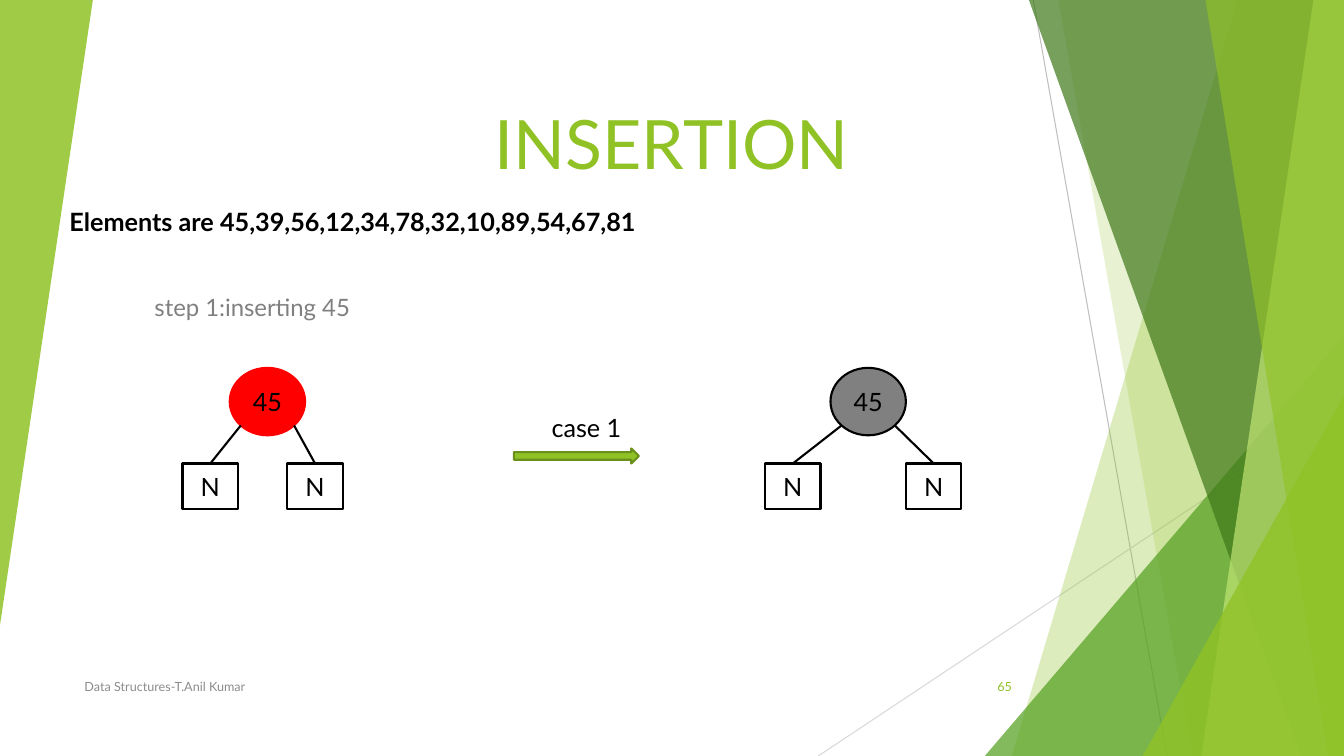
import math

from lxml import etree
from pptx import Presentation
from pptx import util as u
from pptx.dml.color import RGBColor
from pptx.enum import shapes as sh, text as tx
from pptx.oxml.ns import qn

FONT = "Lato"
GREEN, BLACK, WHITE, GREY = "90C226", "000000", "FFFFFF", "808080"
SLIDE_W, SLIDE_H = 33.87, 19.05

# Tree measures in cm
NODE_W, NODE_H, NODE_TOP = 1.9, 1.7, 9.27
LEAF_W, LEAF_H, LEAF_TOP = 1.4, 1.14, 11.68


def rgb(color):
    return RGBColor.from_string(color)


def paint(shape, fill, line=None, opacity=100):
    shape.shadow.inherit = False
    shape.fill.solid()
    shape.fill.fore_color.rgb = rgb(fill)
    if opacity < 100:
        color = shape.fill._xPr.find(qn("a:solidFill"))[0]
        etree.SubElement(color, qn("a:alpha"), val=str(opacity * 1000))
    if line:
        shape.line.color.rgb = rgb(line)
        shape.line.width = u.Pt(1.5)
    else:
        shape.line.fill.background()


def write(shape, words, size, color=BLACK, align="LEFT", anchor="TOP", bold=False):
    frame = shape.text_frame
    frame.word_wrap = True
    frame.vertical_anchor = getattr(tx.MSO_ANCHOR, anchor)
    paragraph = frame.paragraphs[0]
    paragraph.alignment = getattr(tx.PP_ALIGN, align)
    run = paragraph.add_run()
    run.text = words
    run.font.name = FONT
    run.font.size = u.Pt(size)
    run.font.bold = bold
    run.font.color.rgb = rgb(color)


def add_text(slide, box, words, size, **style):
    write(slide.shapes.add_textbox(*map(u.Cm, box)), words, size, **style)


def add_preset(slide, kind, box, fill, line=None, opacity=100):
    shape = slide.shapes.add_shape(kind, *map(u.Cm, box))
    paint(shape, fill, line, opacity)
    return shape


def add_line(slide, start, end, color=BLACK, width=1.5):
    line = slide.shapes.add_connector(
        sh.MSO_CONNECTOR.STRAIGHT, *map(u.Cm, (*start, *end)))
    line.line.color.rgb = rgb(color)
    line.line.width = u.Pt(width)
    etree.SubElement(line._element.spPr, qn("a:effectLst"))


def add_band(slide, top_x, bottom_x, color, opacity):
    """Area between a slanted edge and the right side of the slide."""
    outline = slide.shapes.build_freeform(u.Cm(top_x), 0)
    corners = [(SLIDE_W, 0), (SLIDE_W, SLIDE_H), (bottom_x, SLIDE_H)]
    outline.add_line_segments([(u.Cm(x), u.Cm(y)) for x, y in corners], close=True)
    paint(outline.convert_to_shape(), color, opacity=opacity)


def add_wedge(slide, box, color, opacity, rotation=0):
    wedge = add_preset(slide, sh.MSO_SHAPE.ISOSCELES_TRIANGLE, box, color,
                       opacity=opacity)
    wedge.adjustments[0] = 1
    wedge.rotation = rotation


def add_backdrop(slide):
    add_line(slide, (26.04, 0), (29.41, SLIDE_H), "BFBFBF", 0.75)
    add_line(slide, (SLIDE_W, 10.24), (20.62, SLIDE_H), "D9D9D9", 0.75)
    add_band(slide, 31.19, 25.5, GREEN, 30)
    add_band(slide, 26.67, 30.05, GREEN, 20)
    add_wedge(slide, (24.82, 8.46, 9.05, 10.59), "54A021", 72)
    add_band(slide, 25.93, 32.79, "3F7819", 70)
    add_band(slide, 33.1, 30.28, "C0E474", 70)
    add_band(slide, 30.38, 33.48, GREEN, 65)
    add_wedge(slide, (28.8, 9.98, 5.07, 9.07), GREEN, 80)
    add_wedge(slide, (0, 0, 2.34, 15.75), GREEN, 85, rotation=180)


def add_tree(slide, node_left, leaf_lefts, fill, outline):
    """Root node with two nil leaves, joined from its lower diagonals."""
    root = add_preset(slide, sh.MSO_SHAPE.OVAL,
                      (node_left, NODE_TOP, NODE_W, NODE_H), fill, outline)
    write(root, "45", 18, align="CENTER", anchor="MIDDLE")
    diagonal = math.sqrt(0.5)
    edge_y = NODE_TOP + NODE_H / 2 * (1 + diagonal)
    for side, leaf_left in zip((-1, 1), leaf_lefts):
        leaf = add_preset(slide, sh.MSO_SHAPE.RECTANGLE,
                          (leaf_left, LEAF_TOP, LEAF_W, LEAF_H), WHITE, BLACK)
        write(leaf, "N", 18, align="CENTER", anchor="MIDDLE")
        edge_x = node_left + NODE_W / 2 * (1 + side * diagonal)
        add_line(slide, (edge_x, edge_y), (leaf_left + LEAF_W / 2, LEAF_TOP))


def main():
    deck = Presentation()
    deck.slide_width, deck.slide_height = u.Cm(SLIDE_W), u.Cm(SLIDE_H)
    slide = deck.slides.add_slide(deck.slide_layouts[6])
    add_backdrop(slide)

    # Heading and elements
    add_text(slide, (4.23, 2.24, 25.4, 2.5), "INSERTION", 48.6,
             color=GREEN, align="CENTER", anchor="BOTTOM")
    add_text(slide, (3.02, 7.24, 6.05, 1.7), "step 1:inserting 45", 17.1,
             color=GREY, align="RIGHT")
    add_text(slide, (1.5, 5.08, 18.95, 1.03),
             "Elements are 45,39,56,12,34,78,32,10,89,54,67,81", 18, bold=True)

    # Footer
    add_text(slide, (1.88, 16.79, 17.5, 1.02), "Data Structures-T.Anil Kumar", 9,
             color="8C8C8C", anchor="MIDDLE")
    add_text(slide, (23.85, 16.79, 1.9, 1.02), "65", 9,
             color=GREEN, align="RIGHT", anchor="MIDDLE")

    # Trees before and after recolouring
    add_tree(slide, 5.79, (4.6, 7.24), "FF0000", "FF0000")
    add_tree(slide, 20.93, (19.28, 22.83), GREY, BLACK)

    # Transition
    add_text(slide, (13.65, 10.26, 5.35, 1.03), "case 1", 18)
    add_preset(slide, sh.MSO_SHAPE.RIGHT_ARROW, (12.95, 11.3, 3.15, 0.38),
               GREEN, "6B901C")

    deck.save("out.pptx")


if __name__ == "__main__":
    main()
